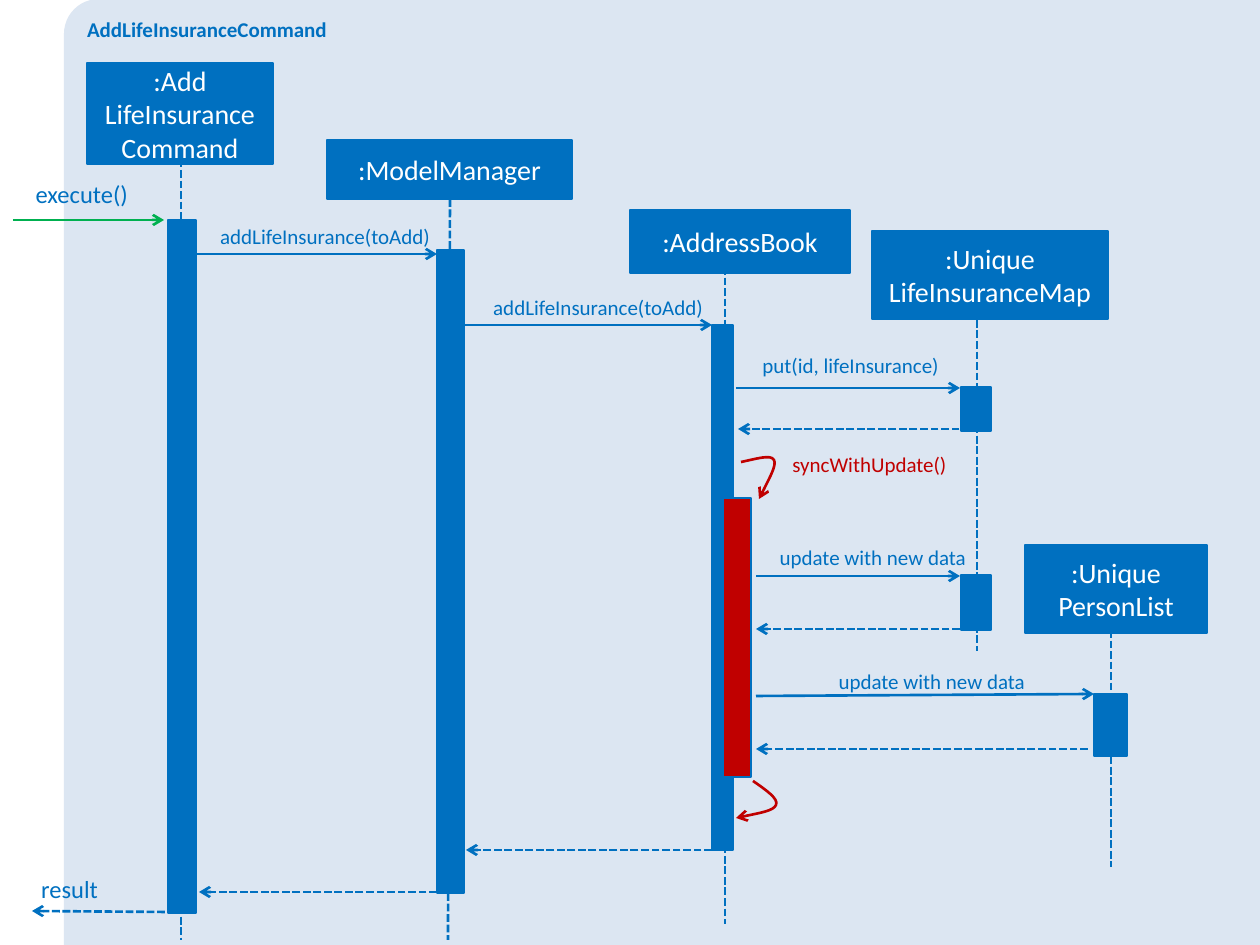
from dataclasses import dataclass

from lxml.etree import SubElement
from pptx import Presentation
from pptx.dml.color import RGBColor
from pptx.enum.dml import MSO_LINE
from pptx.enum.shapes import MSO_CONNECTOR, MSO_SHAPE
from pptx.enum.text import MSO_ANCHOR, PP_ALIGN as Align
from pptx.oxml.ns import qn
from pptx.util import Emu, Pt

EMU_PER_PX = 914400 / 126
TITLE_ONLY = 5


@dataclass(frozen=True)
class Theme:
    font: str = "Calibri"
    frame: str = "DCE6F2"
    main: str = "0070C0"
    entry: str = "00B050"
    sync: str = "C00000"
    inverse: str = "FFFFFF"
    label_size: int = 12
    edge_size: int = 14
    head_size: int = 16
    thin: float = 0.75
    stroke: float = 1.5


def px(*lengths):
    return [Emu(round(length * EMU_PER_PX)) for length in lengths]


def write(frame, text, *, size, color, bold=False, align=Align.LEFT,
          anchor=MSO_ANCHOR.TOP, font=Theme.font, inset=None):
    frame.word_wrap = True
    frame.vertical_anchor = anchor
    if inset is not None:
        frame.margin_left = frame.margin_right = Emu(inset)
        frame.margin_top = frame.margin_bottom = Emu(inset)
    frame.text = text
    for paragraph in frame.paragraphs:
        paragraph.alignment = align
        for run in paragraph.runs:
            run.font.name = font
            run.font.size = Pt(size)
            run.font.bold = bold
            run.font.color.rgb = RGBColor.from_string(color)


class SequenceDiagram:
    def __init__(self, slide, theme):
        self.slide = slide
        self.shapes = slide.shapes
        self.theme = theme

    def title(self, text, box):
        heading = self.shapes.title
        heading.left, heading.top, heading.width, heading.height = px(*box)
        write(heading.text_frame, text, size=self.theme.label_size,
              color=self.theme.main, bold=True, anchor=MSO_ANCHOR.MIDDLE, inset=0)

    def block(self, box, fill, line=None, width=Theme.thin, kind=MSO_SHAPE.RECTANGLE):
        block = self.shapes.add_shape(kind, *px(*box))
        block.shadow.inherit = False
        block.fill.solid()
        block.fill.fore_color.rgb = RGBColor.from_string(fill)
        if line:
            self.stroke(block, line, width)
        else:
            block.line.fill.background()
        return block

    def frame(self, box, corner):
        """Draw the rounded panel behind the title."""
        panel = self.block(box, self.theme.frame, kind=MSO_SHAPE.ROUNDED_RECTANGLE)
        panel.adjustments[0] = corner
        self.shapes.title._element.addprevious(panel._element)

    def participant(self, name, box):
        head = self.block(box, self.theme.main, self.theme.main, self.theme.stroke)
        write(head.text_frame, name, size=self.theme.head_size,
              color=self.theme.inverse, align=Align.CENTER, anchor=MSO_ANCHOR.MIDDLE)

    def activation(self, box, fill=Theme.main):
        self.block(box, fill, self.theme.main)

    def stroke(self, shape, color, width=Theme.stroke, dashed=False, arrow=False):
        shape.line.color.rgb = RGBColor.from_string(color)
        shape.line.width = Pt(width)
        if dashed:
            shape.line.dash_style = MSO_LINE.SQUARE_DOT
        if arrow:
            outline = shape._element.spPr.find(qn("a:ln"))
            SubElement(outline, qn("a:tailEnd"), type="arrow")

    def line(self, start, end, color=Theme.main, dashed=False, arrow=True):
        connector = self.shapes.add_connector(
            MSO_CONNECTOR.STRAIGHT, *px(*start, *end))
        self.stroke(connector, color, dashed=dashed, arrow=arrow)
        SubElement(connector._element.spPr, qn("a:effectLst"))

    def self_call(self, start, *controls):
        """Draw a curved arrow; every three points make one Bézier segment."""
        builder = self.shapes.build_freeform(*start, scale=EMU_PER_PX)
        builder.add_line_segments(controls, close=False)
        curve = builder.convert_to_shape()
        curve.shadow.inherit = False
        curve.fill.background()
        outline = curve._element.find(".//" + qn("a:path"))
        segments = outline.findall(qn("a:lnTo"))
        for first in range(0, len(segments), 3):
            bezier = SubElement(outline, qn("a:cubicBezTo"))
            for segment in segments[first:first + 3]:
                bezier.append(segment[0])
                outline.remove(segment)
        self.stroke(curve, self.theme.sync, arrow=True)

    def label(self, text, box, size=Theme.label_size, color=Theme.main,
              align=Align.RIGHT, inset=0):
        label = self.shapes.add_textbox(*px(*box))
        write(label.text_frame, text, size=size, color=color, align=align, inset=inset)


def main():
    theme = Theme()
    deck = Presentation()
    deck.slide_width, deck.slide_height = px(1260, 945)
    slide = deck.slides.add_slide(deck.slide_layouts[TITLE_ONLY])
    diagram = SequenceDiagram(slide, theme)

    diagram.title("AddLifeInsuranceCommand", (87, 16, 300, 26))
    diagram.frame((64, -1, 1257, 998), corner=0.035)

    lifelines = [
        ((181, 149), (181, 940)), ((450, 199), (448, 940)),
        ((725, 246), (725, 924)), ((977, 320), (977, 651)),
        ((1111, 630), (1111, 867)),
    ]
    for top, bottom in lifelines:
        diagram.line(top, bottom, dashed=True, arrow=False)

    activations = [
        (168, 220, 28, 693), (437, 250, 27, 643), (712, 325, 21, 525),
        (961, 387, 30, 44), (961, 575, 30, 55), (1094, 694, 33, 62),
    ]
    for bar in activations:
        diagram.activation(bar)
    diagram.activation((723, 498, 28, 279), theme.sync)

    participants = [
        (":Add\nLifeInsurance\vCommand", (87, 63, 186, 101)),
        (":ModelManager", (327, 140, 245, 59)),
        (":AddressBook", (630, 210, 220, 63)),
        (":Unique\nLifeInsuranceMap", (872, 231, 236, 88)),
        (":Unique\nPersonList", (1025, 545, 182, 88)),
    ]
    for name, box in participants:
        diagram.participant(name, box)

    diagram.line((13, 220), (164, 220), color=theme.entry)
    calls = [
        ((181, 254), (437, 254)), ((450, 325), (712, 325)),
        ((736, 388), (960, 388)), ((756, 576), (960, 576)),
        ((756, 696), (1094, 694)),
    ]
    returns = [
        ((970, 429), (738, 429)), ((960, 629), (756, 629)),
        ((1088, 749), (756, 749)), ((712, 850), (466, 850)),
        ((437, 892), (199, 892)), ((165, 912), (32, 911)),
    ]
    for arrows, dashed in ((calls, False), (returns, True)):
        for start, end in arrows:
            diagram.line(start, end, dashed=dashed)

    diagram.self_call((741, 462), (756, 459), (771, 454), (774, 460),
                      (777, 465), (759, 499), (759, 499))
    diagram.self_call((753, 781), (766, 790), (779, 799), (776, 805),
                      (774, 811), (736, 818), (736, 818))

    messages = [
        ("addLifeInsurance(toAdd)", (171, 224, 259, 25)),
        ("addLifeInsurance(toAdd)", (460, 295, 243, 25)),
        ("put(id, lifeInsurance)", (746, 353, 193, 25)),
        ("update with new data", (746, 545, 220, 25)),
        ("update with new data", (810, 669, 215, 25)),
    ]
    for message, box in messages:
        diagram.label(message, box)
    diagram.label("execute()", (10, 179, 118, 30), size=theme.edge_size)
    diagram.label("result", (13, 874, 85, 30), size=theme.edge_size)
    diagram.label("syncWithUpdate()", (766, 445, 207, 38), color=theme.sync,
                  align=Align.CENTER, inset=None)

    deck.save("out.pptx")


if __name__ == "__main__":
    main()
